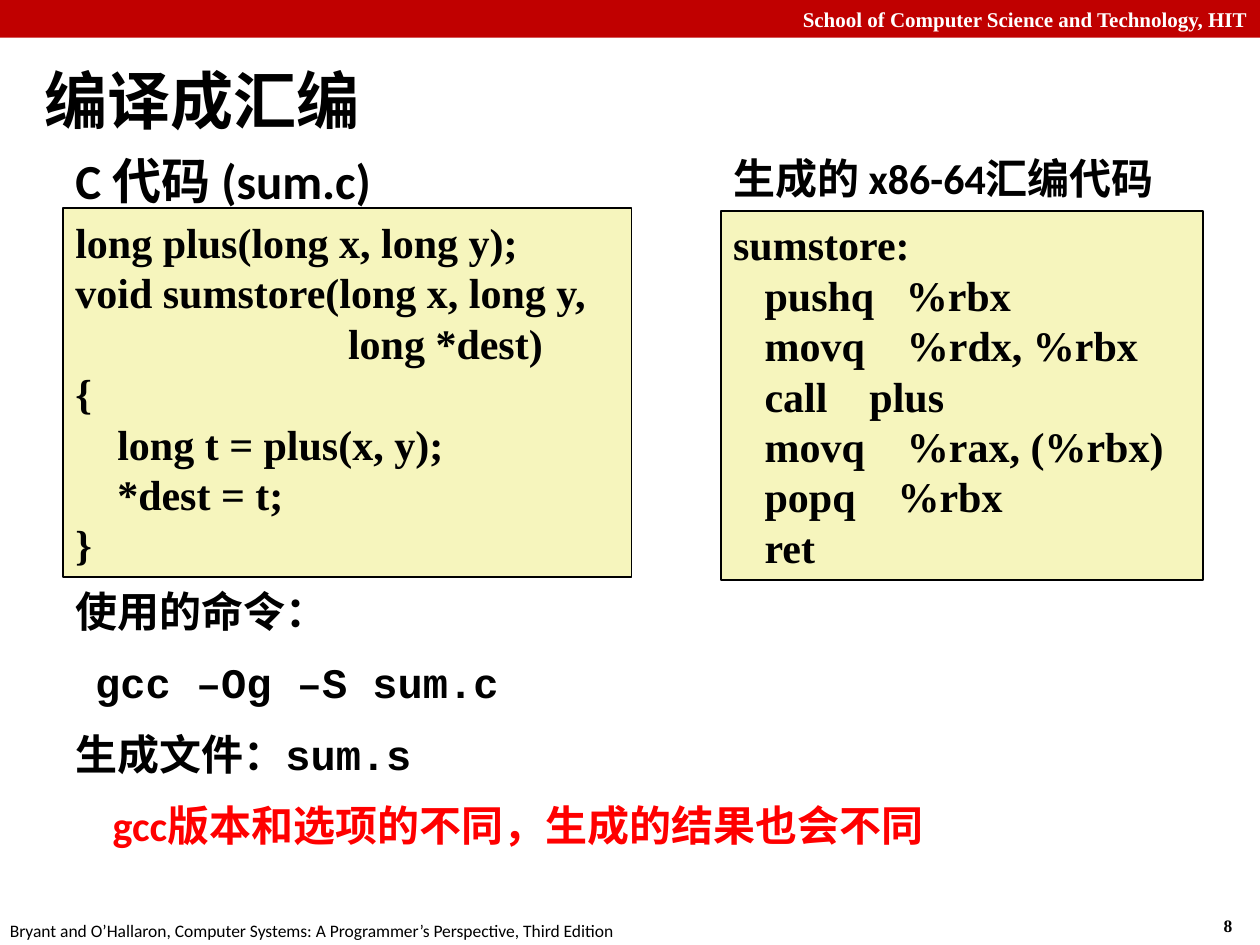
from pptx import Presentation
from pptx.dml.color import RGBColor
from pptx.enum.shapes import MSO_SHAPE
from pptx.enum.text import MSO_ANCHOR, MSO_AUTO_SIZE, PP_ALIGN
from pptx.util import Cm, Pt

RECTANGLE = MSO_SHAPE.RECTANGLE
TOP, MIDDLE = MSO_ANCHOR.TOP, MSO_ANCHOR.MIDDLE
LEFT, RIGHT = PP_ALIGN.LEFT, PP_ALIGN.RIGHT
NO_AUTOFIT = MSO_AUTO_SIZE.NONE

COLORS = {"bar": "C00000", "code": "F6F5BD", "text": "000000",
          "inverse": "FFFFFF", "warning": "FF0000"}
SANS, SERIF, MONO = "Calibri", "Times New Roman", "Courier New"

C_CODE = """long plus(long x, long y);
void sumstore(long x, long y,
                          long *dest)
{
    long t = plus(x, y);
    *dest = t;
}"""
ASSEMBLY_CODE = """sumstore:
   pushq   %rbx
   movq    %rdx, %rbx
   call    plus
   movq    %rax, (%rbx)
   popq    %rbx
   ret"""


def color(name):
    return RGBColor.from_string(COLORS[name])


def write_paragraph(paragraph, runs, size=24, font=SANS, ink="text", bold=True,
                    align=LEFT, before=0, indent=0):
    """Write a string, or a list of (text, font) runs, into a paragraph."""
    if isinstance(runs, str):
        runs = [(runs, font)]
    paragraph.alignment = align
    paragraph.space_before = Pt(before)
    if indent:
        paragraph._p.get_or_add_pPr().set("marL", str(Cm(indent)))
    for text, run_font in runs:
        run = paragraph.add_run()
        run.text = text
        run.font.name = run_font
        run.font.size = Pt(size)
        run.font.bold = bold
        run.font.color.rgb = color(ink)


def write_lines(shape, lines, anchor=TOP, wrap=True, **text_format):
    """Fill a shape with one paragraph for each line."""
    frame = shape.text_frame
    frame.word_wrap = wrap
    frame.auto_size = NO_AUTOFIT
    frame.vertical_anchor = anchor
    for number, line in enumerate(lines):
        paragraph = frame.add_paragraph() if number else frame.paragraphs[0]
        write_paragraph(paragraph, line, **text_format)


def add_text(slide, box, lines, **text_format):
    shape = slide.shapes.add_textbox(*map(Cm, box))
    write_lines(shape, lines, **text_format)
    return shape


def add_panel(slide, box, fill, line=None):
    shape = slide.shapes.add_shape(RECTANGLE, *map(Cm, box))
    shape.shadow.inherit = False
    shape.fill.solid()
    shape.fill.fore_color.rgb = color(fill)
    if line:
        shape.line.color.rgb = color(line)
        shape.line.width = Pt(1)
    else:
        shape.line.fill.background()
    return shape


def add_header(slide, box):
    bar = add_panel(slide, box, "bar")
    write_lines(bar, ["School of Computer Science and Technology, HIT"], anchor=MIDDLE,
                size=12, font=SERIF, ink="inverse", align=RIGHT)


def add_title(slide, box):
    title = slide.shapes.title
    title.left, title.top, title.width, title.height = map(Cm, box)
    write_lines(title, ["编译成汇编"], anchor=MIDDLE, size=36)


def add_code_block(slide, box, heading, heading_size, code):
    """Place a heading above a framed listing inside the box."""
    left, top, width, height = box
    heading_height = 1.3
    add_text(slide, (left, top, width, heading_height), [heading], size=heading_size)
    listing = add_panel(slide, (left, top + heading_height, width, height - heading_height),
                        "code", line="text")
    write_lines(listing, code.split("\n"), anchor=MIDDLE, font=SERIF)


def add_command_notes(slide, box):
    notes = add_text(slide, box, ["使用的命令："])
    following = [
        ("gcc –Og –S sum.c", {"font": MONO, "indent": 0.4}),
        ([("生成文件：", SANS), ("sum.s", MONO)], {}),
        ("gcc版本和选项的不同，生成的结果也会不同", {"ink": "warning", "indent": 0.75}),
    ]
    for runs, text_format in following:
        write_paragraph(notes.text_frame.add_paragraph(), runs, before=12, **text_format)


def add_footer(slide, box):
    left, top, width, height = box
    number_width = 0.95
    add_text(slide, (left, top, 12.9, height),
             ["Bryant and O’Hallaron, Computer Systems: A Programmer’s Perspective, Third Edition"],
             size=10, bold=False, wrap=False)
    add_text(slide, (left + width - number_width, top - 0.1, number_width, height),
             ["8"], size=10, font=SERIF, wrap=False)


def main():
    presentation = Presentation()
    presentation.slide_width, presentation.slide_height = Cm(25.4), Cm(19.05)
    title_only = presentation.slide_layouts[5]
    slide = presentation.slides.add_slide(title_only)

    add_header(slide, (0, 0, 25.4, 0.76))
    add_title(slide, (0.64, 1.22, 19.02, 1.55))
    # C source beside its assembly
    add_code_block(slide, (1.27, 2.9, 11.46, 8.74), "C 代码 (sum.c)", 28, C_CODE)
    add_code_block(slide, (14.53, 2.95, 9.73, 8.74), "生成的 x86-64汇编代码", 24, ASSEMBLY_CODE)
    add_command_notes(slide, (1.27, 11.68, 20.75, 5.89))
    add_footer(slide, (-0.05, 18.42, 25.42, 0.69))

    presentation.save("out.pptx")


if __name__ == "__main__":
    main()
